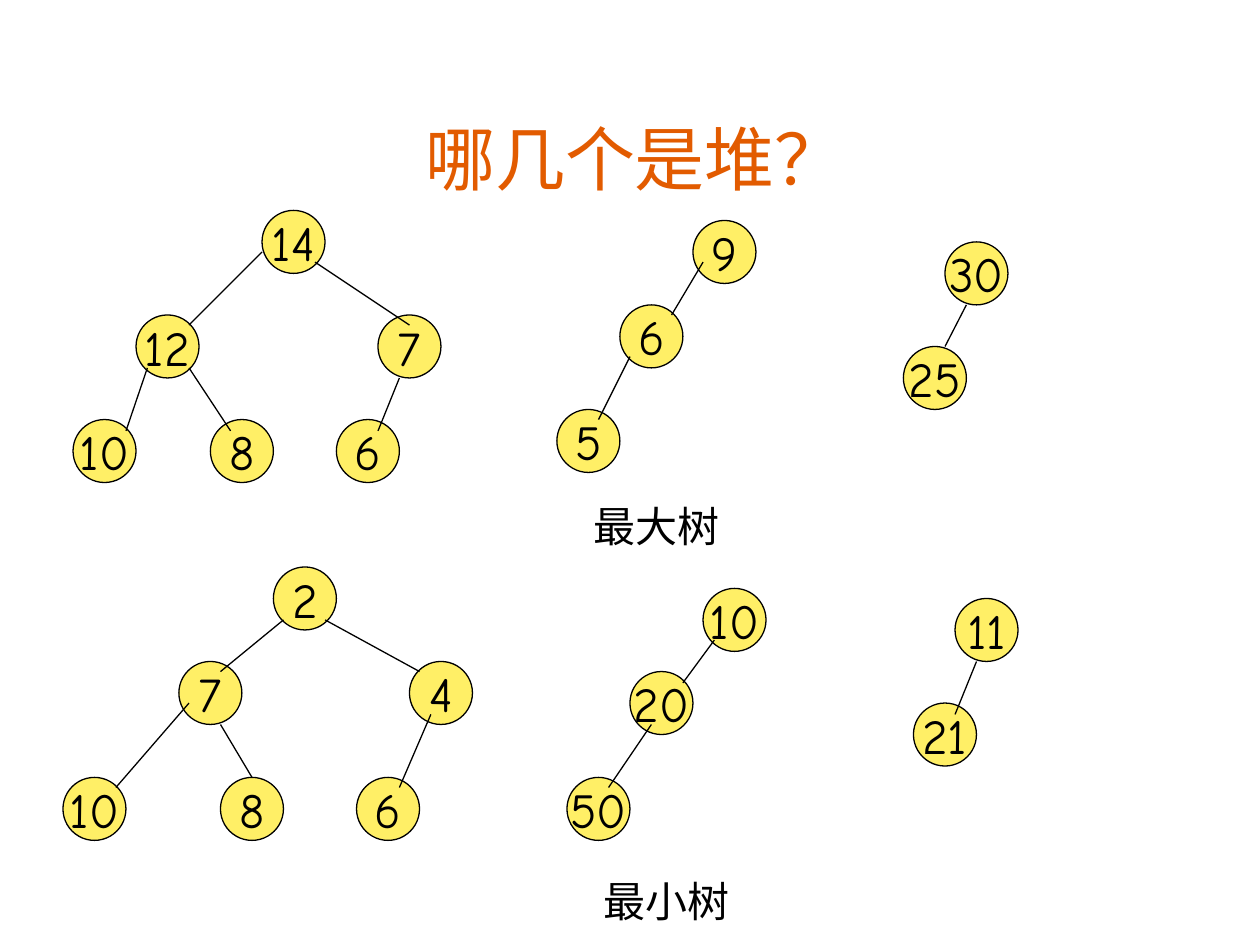
from pptx import Presentation
from pptx.dml.color import RGBColor
from pptx.enum.shapes import MSO_CONNECTOR as Line, MSO_SHAPE as Shape
from pptx.enum.text import MSO_ANCHOR as Anchor, MSO_AUTO_SIZE as Fit, PP_ALIGN as Align
from pptx.oxml.ns import qn
from pptx.util import Inches, Pt
from lxml.etree import SubElement

# Content: nodes are (label, left, top), edges are (x1, y1, x2, y2)
TITLE = "哪几个是堆？"
MAX_NODES = [
    ("14", 2.08, 1.67), ("12", 1.08, 2.5), ("10", 0.58, 3.33),
    ("8", 1.67, 3.33), ("7", 3, 2.5), ("6", 2.67, 3.33),
    ("9", 5.5, 1.75), ("6", 4.92, 2.42), ("5", 4.42, 3.25),
    ("30", 7.5, 1.92), ("25", 7.17, 2.75),
]
MAX_EDGES = [
    (2.08, 2, 1.5, 2.58), (1.17, 2.92, 1, 3.42), (1.5, 2.92, 1.83, 3.42),
    (3.17, 3, 3, 3.42), (2.5, 2.08, 3.25, 2.58),
    (5.58, 2.08, 5.33, 2.5), (5, 2.83, 4.75, 3.33),
    (7.67, 2.42, 7.5, 2.75),
]
MIN_NODES = [
    ("2", 2.17, 4.5), ("7", 1.42, 5.25), ("10", 0.5, 6.17),
    ("8", 1.75, 6.17), ("4", 3.25, 5.25), ("6", 2.83, 6.17),
    ("10", 5.58, 4.67), ("20", 5, 5.33), ("50", 4.5, 6.17),
    ("11", 7.58, 4.75), ("21", 7.25, 5.58),
]
MIN_EDGES = [
    (7.75, 5.25, 7.58, 5.67),
    (5.67, 5.08, 5.42, 5.42), (5.17, 5.75, 4.83, 6.25),
    (2.25, 4.92, 1.75, 5.33), (2.58, 4.92, 3.33, 5.33),
    (1.5, 5.58, 0.92, 6.25), (1.75, 5.75, 2, 6.17),
    (3.42, 5.67, 3.17, 6.25),
]
TREES = [(MAX_NODES, MAX_EDGES), (MIN_NODES, MIN_EDGES)]
CAPTIONS = [("最大树", 3.5, 3.92), ("最小树", 3.58, 6.9)]

SIZE = 0.5
BLACK, YELLOW, ORANGE = "000000", "FFEF66", "E25B00"
COMIC, SANS = "Comic Neue", "Noto Sans CJK SC"


def color(fmt, code):
    fmt.rgb = RGBColor.from_string(code)


def write(frame, text, size, face, code=BLACK):
    frame.text = text
    para = frame.paragraphs[0]
    para.alignment = Align.CENTER
    font = para.runs[0].font
    font.size = Pt(size)
    font.name = face
    color(font.color, code)
    SubElement(para.runs[0]._r.rPr, qn("a:ea"), typeface=face)


def stroke(line):
    line.width = Pt(0.75)
    line.fill.solid()
    color(line.color, BLACK)


def add_node(group, label, left, top):
    node = group.shapes.add_shape(
        Shape.FLOWCHART_CONNECTOR, *map(Inches, (left, top, SIZE, SIZE)))
    node.shadow.inherit = False
    node.fill.solid()
    color(node.fill.fore_color, YELLOW)
    stroke(node.line)
    frame = node.text_frame
    frame.word_wrap = False
    frame.vertical_anchor = Anchor.MIDDLE
    write(frame, label, 28, COMIC)


def add_edge(group, *ends):
    edge = group.shapes.add_connector(Line.STRAIGHT, *map(Inches, ends))
    stroke(edge.line)
    SubElement(edge._element.spPr, qn("a:effectLst"))


def main():
    deck = Presentation()
    deck.slide_width, deck.slide_height = Inches(10), Inches(7.5)
    slide = deck.slides.add_slide(deck.slide_layouts[5])

    # Title
    title = slide.shapes.title
    title.left, title.top = Inches(0.75), Inches(0.75)
    title.width, title.height = Inches(8.58), Inches(0.83)
    frame = title.text_frame
    frame.margin_left = frame.margin_right = 0
    frame.margin_top = frame.margin_bottom = 0
    frame.vertical_anchor = Anchor.BOTTOM
    frame.auto_size = Fit.NONE
    write(frame, TITLE, 40, SANS, ORANGE)

    # One group per row of trees
    for nodes, edges in TREES:
        group = slide.shapes.add_group_shape()
        for node in nodes:
            add_node(group, *node)
        for edge in edges:
            add_edge(group, *edge)

    # Captions
    for text, left, top in CAPTIONS:
        box = slide.shapes.add_textbox(*map(Inches, (left, top, 3.42, 0.5)))
        box.text_frame.word_wrap = True
        box.text_frame.auto_size = Fit.SHAPE_TO_FIT_TEXT
        write(box.text_frame, text, 24, COMIC)

    deck.save("out.pptx")


if __name__ == "__main__":
    main()
